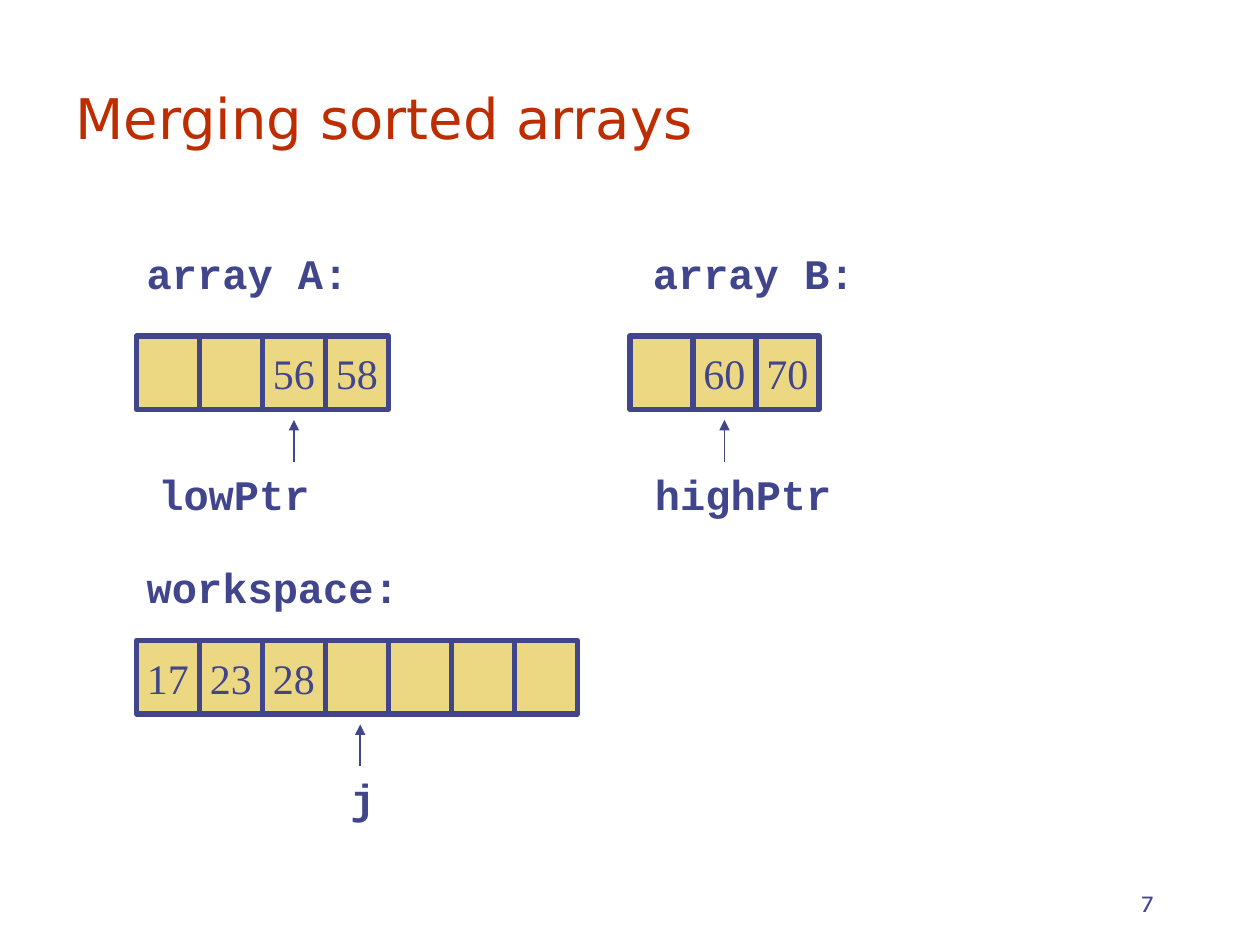
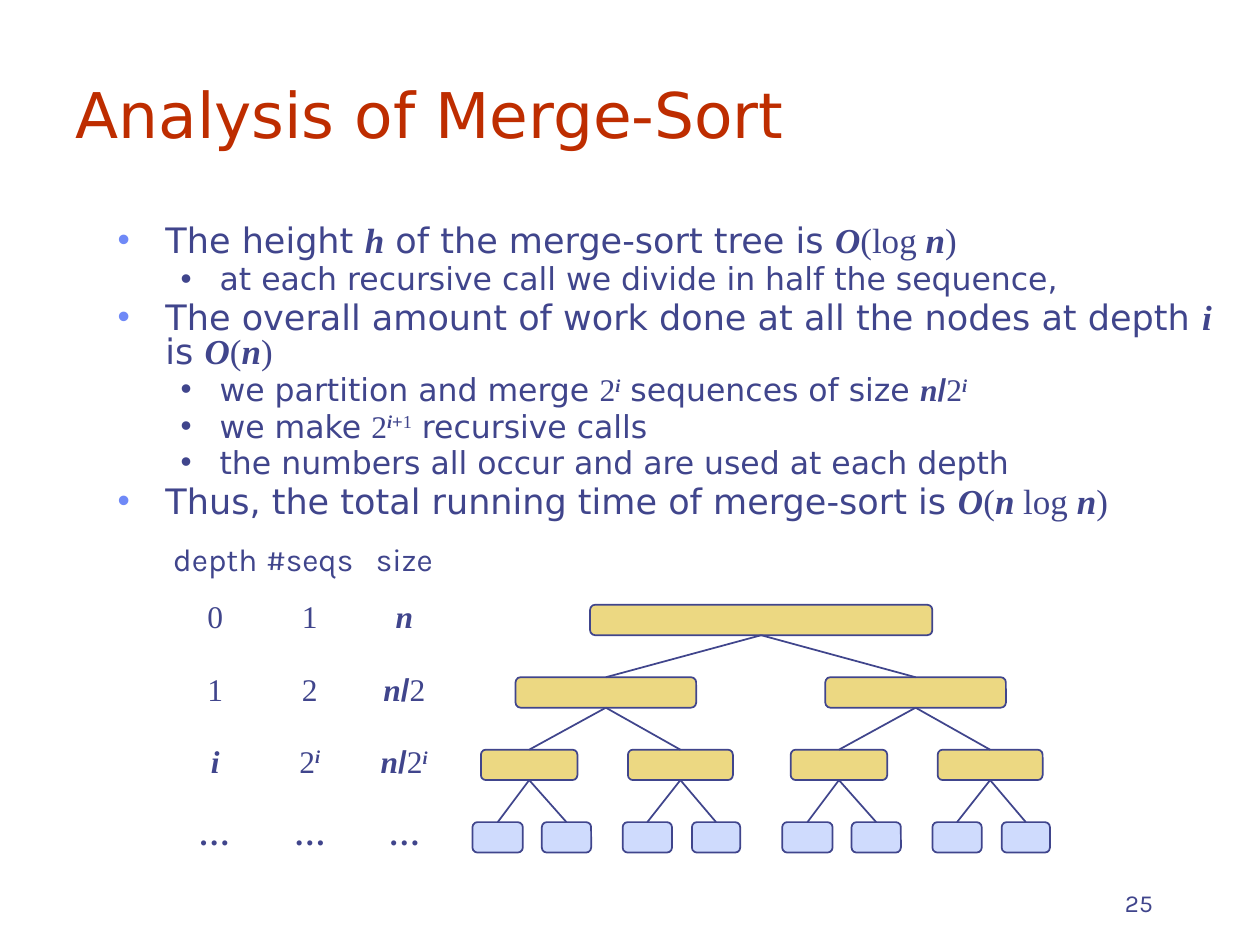
from lxml.etree import SubElement as Sub
from pptx import Presentation
from pptx.dml.color import RGBColor
from pptx.enum.shapes import MSO_CONNECTOR as Link, MSO_SHAPE as Shape
from pptx.enum.text import MSO_ANCHOR as Anchor, MSO_AUTO_SIZE as Fit, PP_ALIGN as Align
from pptx.oxml.ns import qn
from pptx.util import Inches, Pt

INK, RED, GOLD, SKY, DOT = "40458C", "BE2D00", "ECD882", "CFDBFD", "6F89F7"
SANS, SERIF, MONO, NOTE = "DejaVu Sans", "Times New Roman", "Courier New", "Karla"
COLS, ROWS = 120, 90  # grid over the 10 by 7.5 inch slide
LEVEL = 6.9           # rows from one tree level to the next

# Mark that opens a part of a text: font, bold, italic, raised
MARKS = {
    "~": (SERIF, False, False, False),
    "*": (SERIF, True, True, False),
    "!": (SERIF, True, False, False),
    "^": (SERIF, True, True, True),
    "'": (SERIF, False, False, True),
    "/": ("Arial", True, False, False),
    "+": ("Arial", False, False, True),
}

POINTS = [
    (0, "The height |*h| of the merge-sort tree is |*O|~(log |*n|~)"),
    (1, "at each recursive call we divide in half the sequence,"),
    (0, "The overall amount of work done at all the nodes at depth |*i |is |*O|~(|*n|~)"),
    (1, "we partition and merge |~2|^i| sequences of size |*n|//|~2|^i"),
    (1, "we make |~2|^i|++|'1| recursive calls"),
    (1, "the numbers all occur and are used at each depth"),
    (0, "Thus, the total running time of merge-sort is |*O|~(|*n|~ log |*n|~)"),
]

COSTS = [
    ["depth", "#seqs", "size"],
    ["~0", "~1", "*n"],
    ["~1", "~2", "*n|//|~2"],
    ["*i", "~2|^i", "*n|//|~2|^i"],
    ["*…", "!…", "!…"],
]

# Half of the tree, as (column, width, children)
HALF = (49.1, 17.2, [
    (45.8, 9.2, [(45, 4.8, []), (51.6, 4.7, [])]),
    (59.8, 10, [(59.3, 4.7, []), (65.9, 4.6, [])]),
])


def unit(n):
    return Inches(n * 10 / COLS)


def area(*cells):
    return [unit(n) for n in cells]


def paint(code):
    return RGBColor.from_string(code)


def write(para, text, size=24, font=SANS, color=INK, bold=False, align=None):
    """Fill a paragraph with parts split by |, each opened by an optional mark."""
    para.alignment = align
    for part in text.split("|"):
        look = MARKS.get(part[0])
        face, heavy, slant, high = look or (font, bold, False, False)
        run = para.add_run()
        run.text = part[1:] if look else part
        run.font.name, run.font.size = face, Pt(size)
        run.font.bold, run.font.italic = heavy, slant
        run.font.color.rgb = paint(color)
        if high:
            run.font._element.set("baseline", "30000")


def label(slide, text, spot, wrap=False, anchor=Anchor.TOP, **form):
    frame = slide.shapes.add_textbox(*area(*spot)).text_frame
    frame.word_wrap, frame.vertical_anchor = wrap, anchor
    write(frame.paragraphs[0], text, **form)


def code(slide, text, col, row):
    label(slide, text, (col, row, 2.4 * (len(text) + 1), 6), font=MONO, bold=True)


def box(slide, kind, spot, fill, weight):
    shape = slide.shapes.add_shape(kind, *area(*spot))
    shape.shadow.inherit = False
    shape.fill.solid()
    shape.fill.fore_color.rgb = paint(fill)
    shape.line.color.rgb = paint(INK)
    shape.line.width = Pt(weight)
    return shape


def line(slide, ends=(0, 0, 0, 0), weight=1, arrow=False):
    link = slide.shapes.add_connector(Link.STRAIGHT, *area(*ends))
    link.line.color.rgb = paint(INK)
    link.line.width = Pt(weight)
    props = link.element.spPr
    if arrow:
        Sub(props.find(qn("a:ln")), qn("a:tailEnd"), type="triangle")
    Sub(props, qn("a:effectLst"))
    return link


def array(slide, col, row, values):
    for i, value in enumerate(values):
        cell = box(slide, Shape.RECTANGLE, (col + 6 * i, row, 6, 7), GOLD, 3)
        if value:
            cell.text_frame.word_wrap = False
            write(cell.text_frame.paragraphs[0], value, font=SERIF, align=Align.CENTER)


def pointer(slide, name, col, row, left):
    """Draw an arrow up to the array at row, with its name below."""
    line(slide, (col, row + 12, col, row + 8), 0.75, arrow=True)
    code(slide, name, left, row + 12)


def bullet(para, level, text):
    props = para._p.get_or_add_pPr()
    left, hang = ((0.38, 0.38), (0.81, 0.31))[level]
    props.set("marL", str(Inches(left)))
    props.set("indent", str(-Inches(hang)))
    tint = Sub(props, qn("a:buClr"))
    Sub(tint, qn("a:srgbClr"), val=(DOT, INK)[level])
    Sub(props, qn("a:buChar"), char="•")
    size = (20, 18)[level]
    para.level, para.line_spacing = level, 0.8
    write(para, text, size=size)
    return size


def outline(frame, points):
    frame.auto_size = Fit.NONE
    for i, (level, text) in enumerate(points):
        para = frame.add_paragraph() if i else frame.paragraphs[0]
        size = bullet(para, level, text)
        para.space_before = Pt(0.2 * size if i else 0)


def grid(slide, rows, col, row, width, heights):
    spot = area(col, row, width * len(rows[0]), sum(heights))
    table = slide.shapes.add_table(len(rows), len(rows[0]), *spot).table
    table.first_row = table.horz_banding = False
    for column in table.columns:
        column.width = unit(width)
    for r, (texts, high) in enumerate(zip(rows, heights)):
        table.rows[r].height = unit(high)
        for c, text in enumerate(texts):
            cell = table.cell(r, c)
            cell.fill.background()
            cell.margin_left = cell.margin_right = 0
            cell.margin_top = cell.margin_bottom = 0
            cell.vertical_anchor = Anchor.MIDDLE if r else Anchor.TOP
            write(cell.text_frame.paragraphs[0], text, size=18, font=NOTE,
                  align=Align.CENTER)


def tree(slide, node, depth=0, shift=0):
    """Draw a node and all below it, and return its box."""
    col, width, kids = node
    spot = (col + shift, 57.6 + LEVEL * depth, width, 2.9)
    top = box(slide, Shape.ROUNDED_RECTANGLE, spot, GOLD if kids else SKY, 1)
    for kid in kids:
        join(slide, top, tree(slide, kid, depth + 1, shift))
    return top


def join(slide, top, low):
    link = line(slide)
    link.begin_connect(top, 2)
    link.end_connect(low, 0)


def start(deck, layout, title, size, number):
    slide = deck.slides.add_slide(deck.slide_layouts[layout])
    head = slide.shapes.title
    head.left, head.top, head.width, head.height = area(6, 4, 104, 11)
    head.text_frame.auto_size = Fit.NONE
    head.text_frame.vertical_anchor = Anchor.BOTTOM
    write(head.text_frame.paragraphs[0], title, size=size, color=RED, align=Align.LEFT)
    label(slide, number, (86, 82, 25, 6), wrap=True, anchor=Anchor.BOTTOM,
          size=14, font=NOTE, align=Align.RIGHT)
    return slide


def merging(deck):
    slide = start(deck, 5, "Merging sorted arrays", 32, "7")
    code(slide, "array A:", 12.8, 23)
    array(slide, 13, 32, ["", "", "56", "58"])
    pointer(slide, "lowPtr", 28, 32, 13.9)
    code(slide, "array B:", 61, 23)
    array(slide, 60, 32, ["", "60", "70"])
    pointer(slide, "highPtr", 69, 32, 61.2)
    code(slide, "workspace:", 12.8, 52.9)
    array(slide, 13, 61, ["17", "23", "28", "", "", "", ""])
    pointer(slide, "j", 34.3, 61, 32.2)


def analysis(deck):
    slide = start(deck, 1, "Analysis of Merge-Sort", 36, "25")
    body = slide.placeholders[1]
    body.left, body.top, body.width, body.height = area(10, 21, 108, 29)
    outline(body.text_frame, POINTS)
    grid(slide, COSTS, 16, 51.7, 9, [3.7] + [LEVEL] * 4)
    root = tree(slide, (56.2, 32.6, []))
    root.fill.fore_color.rgb = paint(GOLD)
    for shift in (0, 29.5):
        join(slide, root, tree(slide, HALF, 1, shift))


def main():
    deck = Presentation()
    deck.slide_width, deck.slide_height = area(COLS, ROWS)
    merging(deck)
    analysis(deck)
    deck.save("out.pptx")


if __name__ == "__main__":
    main()
